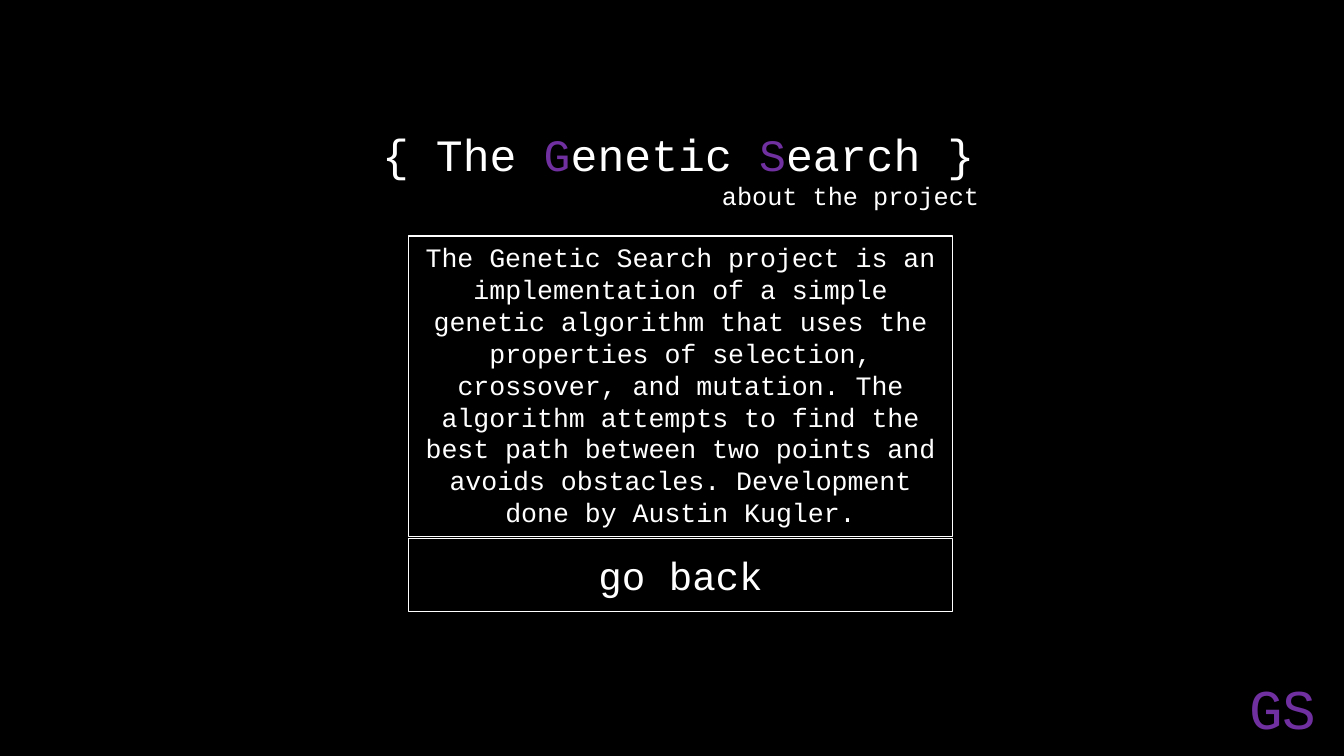
from dataclasses import dataclass

from pptx import Presentation
from pptx.dml.color import RGBColor
from pptx.enum.shapes import MSO_SHAPE
from pptx.enum.text import MSO_ANCHOR, MSO_AUTO_SIZE, PP_ALIGN
from pptx.oxml.ns import qn
from pptx.util import Inches, Pt


@dataclass(frozen=True)
class Theme:
    font: str = "Courier New"
    background: str = "000000"
    ink: str = "FFFFFF"
    accent: str = "7030A0"
    title: int = 32
    subtitle: int = 18
    body: int = 19
    button: int = 28
    monogram: int = 40
    border: int = 1


THEME = Theme()
WIDTH, HEIGHT = 13.33, 7.5
COLUMN_LEFT, COLUMN_WIDTH = 4.05, 5.4
BODY_TOP, BODY_HEIGHT = 2.34, 2.98
BUTTON_HEIGHT, GAP = 0.73, 0.02


def place(box, left, top, width, height):
    box.left, box.top = Inches(left), Inches(top)
    box.width, box.height = Inches(width), Inches(height)


def prepare_frame(box, anchor=MSO_ANCHOR.TOP, wrap=True):
    frame = box.text_frame
    frame.auto_size = MSO_AUTO_SIZE.NONE
    frame.word_wrap = wrap
    frame.vertical_anchor = anchor
    return frame


def write(para, *pieces, size, align=PP_ALIGN.CENTER, color=THEME.ink):
    para.alignment = align
    para.space_before = Pt(0)
    for piece in pieces:
        text, span_color = piece if isinstance(piece, tuple) else (piece, color)
        span = para.add_run()
        span.text = text
        span.font.name = THEME.font
        span.font.size = Pt(size)
        span.font.color.rgb = RGBColor.from_string(span_color)


def outline(box):
    box.line.color.rgb = RGBColor.from_string(THEME.ink)
    box.line.width = Pt(THEME.border)


def remove_bullet(para):
    properties = para._p.get_or_add_pPr()
    properties.set("marL", "0")
    properties.set("indent", "0")
    properties.append(properties.makeelement(qn("a:buNone"), {}))


def add_heading(page):
    title = page.shapes.title
    place(title, 3.69, 1.21, 6.12, 0.94)
    frame = prepare_frame(title)
    write(frame.paragraphs[0], "{ The ", ("G", THEME.accent), "enetic ",
          ("S", THEME.accent), "earch }", size=THEME.title, align=PP_ALIGN.LEFT)
    write(frame.add_paragraph(), "about the project",
          size=THEME.subtitle, align=PP_ALIGN.RIGHT)


def add_description(page, text):
    body = page.placeholders[1]
    place(body, COLUMN_LEFT, BODY_TOP, COLUMN_WIDTH, BODY_HEIGHT)
    outline(body)
    para = prepare_frame(body).paragraphs[0]
    write(para, text, size=THEME.body)
    remove_bullet(para)


def add_button(page, text):
    top = BODY_TOP + BODY_HEIGHT + GAP
    button = page.shapes.add_shape(MSO_SHAPE.RECTANGLE, 0, 0, 0, 0)
    place(button, COLUMN_LEFT, top, COLUMN_WIDTH, BUTTON_HEIGHT)
    button.shadow.inherit = False
    button.fill.background()
    outline(button)
    frame = prepare_frame(button, anchor=MSO_ANCHOR.MIDDLE)
    write(frame.paragraphs[0], text, size=THEME.button)


def add_monogram(page, text):
    box = page.shapes.add_textbox(0, 0, 0, 0)
    place(box, 12.29, 6.63, 0.88, 0.77)
    frame = prepare_frame(box, wrap=False)
    write(frame.paragraphs[0], text, size=THEME.monogram,
          align=PP_ALIGN.LEFT, color=THEME.accent)


def main():
    deck = Presentation()
    deck.slide_width, deck.slide_height = Inches(WIDTH), Inches(HEIGHT)
    page = deck.slides.add_slide(deck.slide_layouts[1])
    page.background.fill.solid()
    page.background.fill.fore_color.rgb = RGBColor.from_string(THEME.background)
    add_heading(page)
    add_description(
        page,
        "The Genetic Search project is an implementation of a simple genetic "
        "algorithm that uses the properties of selection, crossover, and "
        "mutation. The algorithm attempts to find the best path between two "
        "points and avoids obstacles. Development done by Austin Kugler.")
    add_button(page, "go back")
    add_monogram(page, "GS")
    deck.save("out.pptx")


main()
